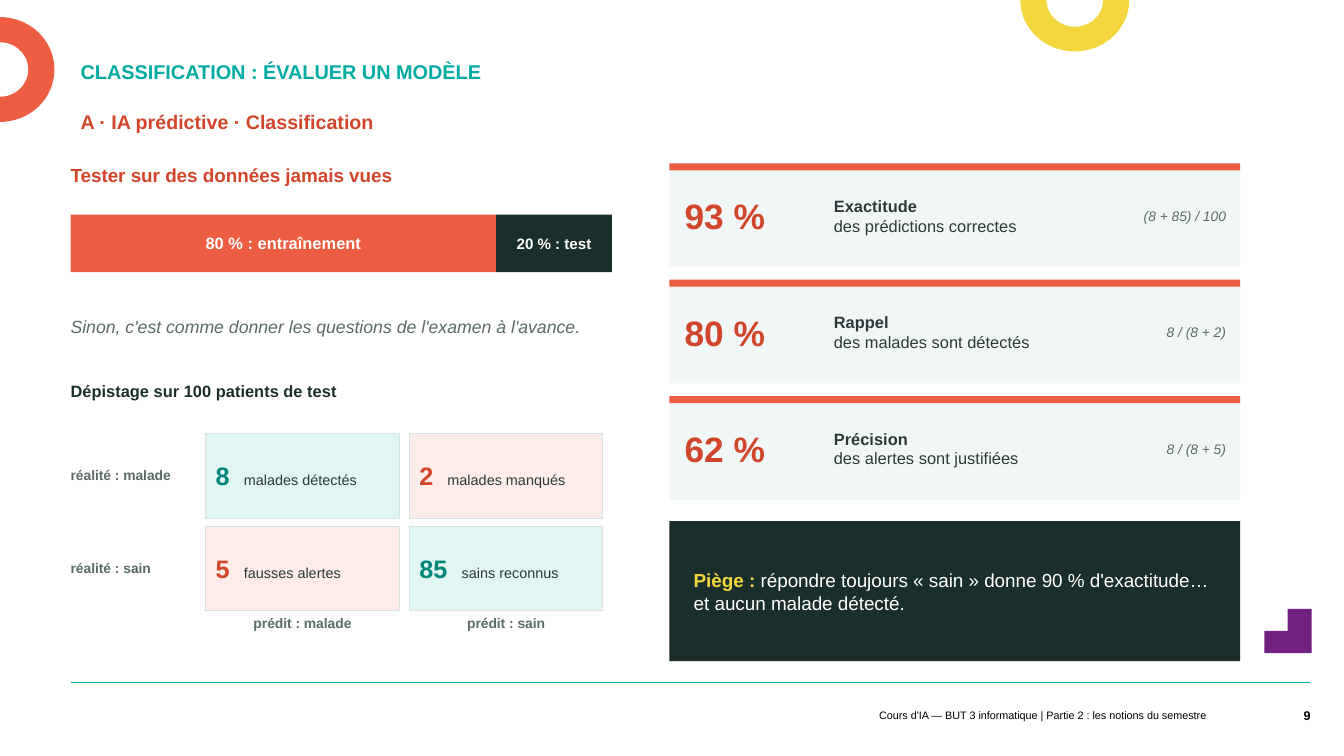
from dataclasses import dataclass
from math import cos, pi, sin

from lxml.etree import SubElement
from pptx import Presentation
from pptx.dml.color import RGBColor
from pptx.enum.shapes import MSO_CONNECTOR, MSO_SHAPE
from pptx.enum.text import MSO_ANCHOR, MSO_AUTO_SIZE, PP_ALIGN
from pptx.oxml.ns import qn
from pptx.util import Inches, Pt

FONT = "Arial"
ORANGE, RED, TEAL, GREEN = "ED5D42", "D1452B", "00ABA2", "00877A"
DARK, BODY, GREY, WHITE, BLACK = "1A2E2B", "2B3A38", "5A6B68", "FFFFFF", "000000"
YELLOW, PURPLE = "F4D73F", "712180"
MINT, PINK, CARD, EDGE = "E1F5F3", "FDECE8", "F0F7F6", "D5E3E1"
LEFT, CENTER, RIGHT = PP_ALIGN.LEFT, PP_ALIGN.CENTER, PP_ALIGN.RIGHT
TOP, MIDDLE, BOTTOM = MSO_ANCHOR.TOP, MSO_ANCHOR.MIDDLE, MSO_ANCHOR.BOTTOM

Box = tuple[float, float, float, float]
NO_INSET: Box = (0, 0, 0, 0)
TEXT_INSET: Box = (0.1, 0.05, 0.1, 0.05)


@dataclass
class Run:
    text: str
    size: float
    color: str
    bold: bool = False
    italic: bool = False


@dataclass
class Label:
    box: Box
    run: Run
    anchor: MSO_ANCHOR = MIDDLE
    align: PP_ALIGN = LEFT
    inset: Box = NO_INSET


@dataclass
class Outcome:
    row: int
    col: int
    count: str
    meaning: str
    correct: bool


@dataclass
class Metric:
    value: str
    name: str
    meaning: str
    formula: str


LABELS = [
    Label((0.7, 1.04, 9.72, 0.46), Run("A · IA prédictive · Classification", 14, RED, True),
          TOP, inset=TEXT_INSET),
    Label((5.43, 6.98, 6.63, 0.23),
          Run("Cours d'IA — BUT 3 informatique | Partie 2 : les notions du semestre", 7.7, BLACK),
          align=RIGHT, inset=TEXT_INSET),
    Label((12.45, 6.9, 0.55, 0.4), Run("9", 9, BLACK, True), align=RIGHT),
    Label((0.7, 1.62, 5.37, 0.41), Run("Tester sur des données jamais vues", 13.5, RED, True), TOP),
    Label((0.7, 2.8, 5.37, 0.88),
          Run("Sinon, c'est comme donner les questions de l'examen à l'avance.", 12.6, GREY,
              italic=True)),
    Label((0.7, 3.78, 5.37, 0.41), Run("Dépistage sur 100 patients de test", 11.7, DARK, True), TOP),
]
OUTCOMES = [
    Outcome(0, 0, "8", "malades détectés", True),
    Outcome(0, 1, "2", "malades manqués", False),
    Outcome(1, 0, "5", "fausses alertes", False),
    Outcome(1, 1, "85", "sains reconnus", True),
]
METRICS = [
    Metric("93 %", "Exactitude", "des prédictions correctes", "(8 + 85) / 100"),
    Metric("80 %", "Rappel", "des malades sont détectés", "8 / (8 + 2)"),
    Metric("62 %", "Précision", "des alertes sont justifiées", "8 / (8 + 5)"),
]
CLASSES = ["malade", "sain"]
GRID_X, GRID_Y, CELL_W, CELL_H = 2.04, 4.3, 1.92, 0.84
STEP_X, STEP_Y = 2.02, 0.92
DIGIT_W = 0.14
CARD_X, CARD_Y, CARD_W, CARD_H = 6.64, 1.62, 5.66, 1.03
CARD_STEP = (3.93 - CARD_Y) / (len(METRICS) - 1)


def rgb(color: str) -> RGBColor:
    return RGBColor.from_string(color)


def write(sp, lines: list[list[Run]], anchor=MIDDLE, align=LEFT, inset: Box = NO_INSET) -> None:
    tf = sp.text_frame
    frame = dict(zip(("margin_left", "margin_top", "margin_right", "margin_bottom"),
                     map(Inches, inset)))
    frame |= {"word_wrap": True, "auto_size": MSO_AUTO_SIZE.NONE, "vertical_anchor": anchor}
    for name, value in frame.items():
        setattr(tf, name, value)
    for i, runs in enumerate(lines):
        p = tf.add_paragraph() if i else tf.paragraphs[0]
        p.alignment = align
        for run in runs:
            r = p.add_run()
            r.text = run.text
            font = {"name": FONT, "size": Pt(run.size), "bold": run.bold, "italic": run.italic}
            for name, value in font.items():
                setattr(r.font, name, value)
            r.font.color.rgb = rgb(run.color)


def add_text(slide, box: Box, lines: list[list[Run]], **layout) -> None:
    write(slide.shapes.add_textbox(*map(Inches, box)), lines, **layout)


def paint(sp, fill: str, line: str | None = None) -> None:
    sp.shadow.inherit = False
    sp.fill.solid()
    sp.fill.fore_color.rgb = rgb(fill)
    if line:
        sp.line.color.rgb = rgb(line)
        sp.line.width = Pt(0.75)
    else:
        sp.line.fill.background()


def add_rect(slide, box: Box, fill: str, line: str | None = None):
    sp = slide.shapes.add_shape(MSO_SHAPE.RECTANGLE, *map(Inches, box))
    paint(sp, fill, line)
    return sp


def add_outline(slide, points: list[tuple[float, float]], fill: str) -> None:
    start, *rest = [(Inches(x), Inches(y)) for x, y in points]
    builder = slide.shapes.build_freeform(*start, scale=1.0)
    builder.add_line_segments(rest, close=True)
    paint(builder.convert_to_shape(), fill)


def half_ring(cx: float, cy: float, rx: float, ry: float, start: float) -> list[tuple[float, float]]:
    """Points of half a ring, swept clockwise from the start angle."""
    steps = 48
    angles = [start + pi * i / steps for i in range(steps + 1)]
    outer = [(cx + rx * cos(a), cy + ry * sin(a)) for a in angles]
    inner = [(cx + rx * 0.52 * cos(a), cy + ry * 0.52 * sin(a)) for a in reversed(angles)]
    return outer + inner


def add_decor(slide) -> None:
    add_outline(slide, half_ring(10.66, 0, 0.54, 0.51, 0), YELLOW)
    add_outline(slide, half_ring(0, 0.69, 0.54, 0.52, -pi / 2), ORANGE)
    add_outline(slide, [(12.77, 6.04), (13.01, 6.04), (13.01, 6.48), (12.54, 6.48),
                        (12.54, 6.26), (12.77, 6.26)], PURPLE)
    rule = slide.shapes.add_connector(MSO_CONNECTOR.STRAIGHT, Inches(0.7), Inches(6.77),
                                      Inches(12.99), Inches(6.77))
    rule.line.color.rgb = rgb("00ABA1")
    rule.line.width = Pt(0.5)
    SubElement(rule.element.spPr, qn("a:effectLst"))


def add_outcome(slide, o: Outcome) -> None:
    box = (GRID_X + o.col * STEP_X, GRID_Y + o.row * STEP_Y, CELL_W, CELL_H)
    sp = add_rect(slide, box, MINT if o.correct else PINK, EDGE)
    tabs = SubElement(sp.text_frame.paragraphs[0]._p.get_or_add_pPr(), qn("a:tabLst"))
    SubElement(tabs, qn("a:tab"), pos=str(Inches(DIGIT_W * (len(o.count) + 1))), algn="l")
    write(sp, [[Run(o.count + "\t", 18, GREEN if o.correct else RED, True),
                Run(o.meaning, 10.3, BODY)]], inset=(0.1, 0, 0.05, 0))


def add_metric(slide, m: Metric, y: float) -> None:
    add_rect(slide, (CARD_X, y, CARD_W, CARD_H), CARD)
    add_rect(slide, (CARD_X, y, CARD_W, 0.07), ORANGE)
    text_y, text_h = y + 0.08, 0.88
    add_text(slide, (6.79, text_y, 1.44, text_h), [[Run(m.value, 25.2, RED, True)]])
    add_text(slide, (8.27, text_y, 2.49, text_h),
             [[Run(m.name, 11.7, BODY, True)], [Run(m.meaning, 11.7, BODY)]])
    add_text(slide, (10.72, text_y, 1.44, text_h),
             [[Run(m.formula, 9.9, GREY, italic=True)]], align=RIGHT)


def main() -> None:
    prs = Presentation()
    prs.slide_width, prs.slide_height = Inches(13.33), Inches(7.5)
    slide = prs.slides.add_slide(prs.slide_layouts[5])
    add_decor(slide)

    title = slide.shapes.title
    title.left, title.top, title.width, title.height = map(Inches, (0.7, 0.54, 9.72, 0.34))
    write(title, [[Run("CLASSIFICATION : ÉVALUER UN MODÈLE", 14.2, TEAL, True)]],
          anchor=BOTTOM, inset=TEXT_INSET)
    title.text_frame.paragraphs[0].line_spacing = Pt(16.7)

    for label in LABELS:
        add_text(slide, label.box, [[label.run]], anchor=label.anchor, align=label.align,
                 inset=label.inset)

    for x, w, fill, text, size in [(0.7, 4.22, ORANGE, "80 % : entraînement", 11.7),
                                   (4.92, 1.15, DARK, "20 % : test", 10.8)]:
        write(add_rect(slide, (x, 2.13, w, 0.57), fill), [[Run(text, size, WHITE, True)]],
              align=CENTER)

    for i, name in enumerate(CLASSES):
        add_text(slide, (0.7, GRID_Y + i * STEP_Y, 1.29, 0.82),
                 [[Run(f"réalité : {name}", 9.9, GREY, True)]])
        add_text(slide, (GRID_X + i * STEP_X, 6.1, CELL_W, 0.31),
                 [[Run(f"prédit : {name}", 9.9, GREY, True)]], anchor=TOP, align=CENTER)
    for outcome in OUTCOMES:
        add_outcome(slide, outcome)

    for i, metric in enumerate(METRICS):
        add_metric(slide, metric, CARD_Y + i * CARD_STEP)
    trap = add_rect(slide, (CARD_X, 5.17, CARD_W, 1.39), DARK)
    write(trap, [[Run("Piège : ", 13.5, YELLOW, True),
                  Run("répondre toujours « sain » donne 90 % d'exactitude… "
                      "et aucun malade détecté.", 13.5, WHITE)]], inset=(0.24, 0.05, 0.2, 0.05))
    prs.save("out.pptx")


if __name__ == "__main__":
    main()
